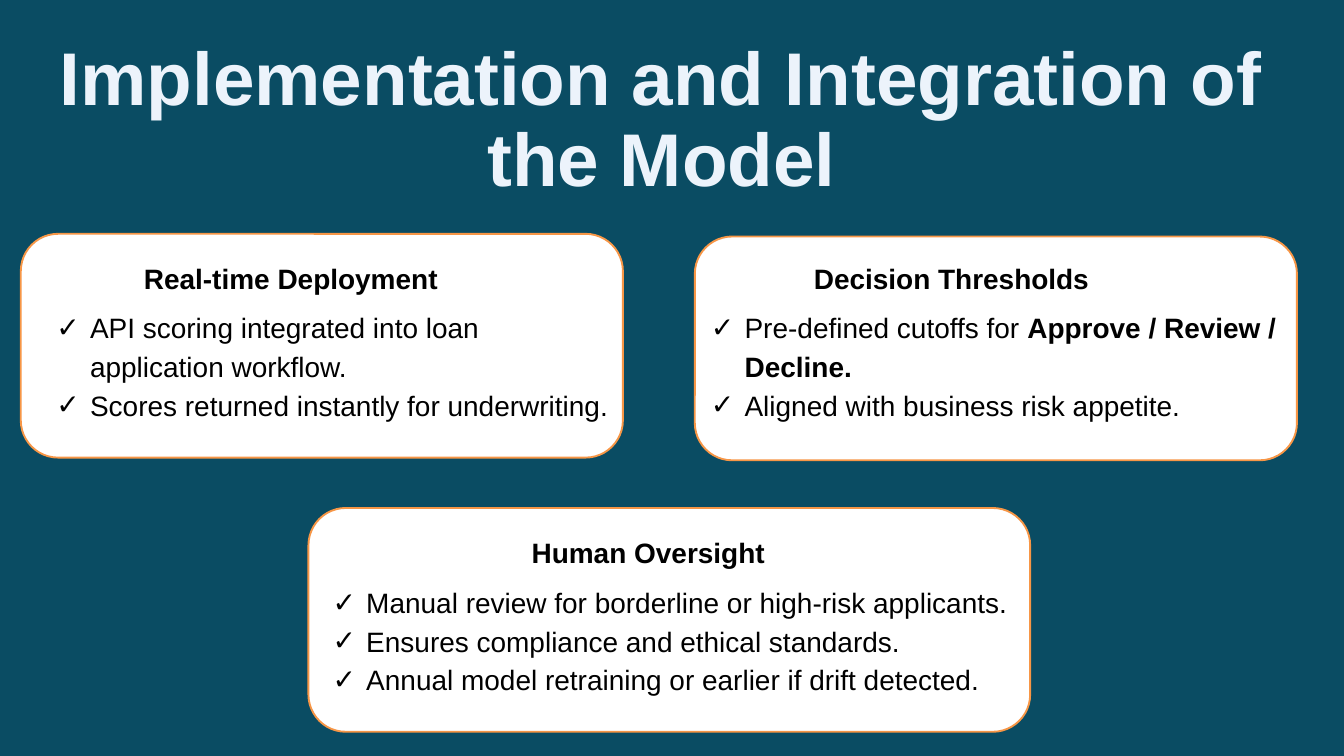
from lxml import etree
from pptx import Presentation, util as u
from pptx.dml.color import RGBColor
from pptx.enum import shapes, text
from pptx.oxml.ns import qn

TITLE = "Implementation and Integration of the Model"
# card and body: left, top, width, height in inches; each bullet is a list of (words, bold) runs
SECTIONS = [
    {"heading": "Real-time Deployment", "heading_indent": 1.34,
     "card": (0.31, 3.48, 8.96, 3.33), "body": (0.7, 3.71, 8.57, 2.86),
     "bullets": [[("API scoring integrated into loan application workflow.", False)],
                 [("Scores returned instantly for underwriting.", False)]]},
    {"heading": "Decision Thresholds", "heading_indent": 1.57,
     "card": (10.34, 3.52, 8.96, 3.33), "body": (10.44, 3.71, 9.25, 2.86),
     "bullets": [[("Pre-defined cutoffs for ", False), ("Approve / Review / Decline.", True)],
                 [("Aligned with business risk appetite.", False)]]},
    {"heading": "Human Oversight", "heading_indent": 3.0,
     "card": (4.59, 7.56, 10.74, 3.33), "body": (4.81, 7.8, 10.29, 2.86),
     "bullets": [[("Manual review for borderline or high-risk applicants.", False)],
                 [("Ensures compliance and ethical standards.", False)],
                 [("Annual model retraining or earlier if drift detected.", False)]]},
]
BACKGROUND, PALE, WHITE, ORANGE, BLACK = "0A4C63", "ECF3FB", "FFFFFF", "F79646", "000000"
COMPARISON_LAYOUT = 4


def paint(fill, colour):
    fill.solid()
    fill.fore_color.rgb = RGBColor.from_string(colour)


def place(shape, box):
    shape.left, shape.top, shape.width, shape.height = map(u.Inches, box)


def prepare_frame(frame, inset):
    frame.word_wrap = True
    frame.auto_size = text.MSO_AUTO_SIZE.NONE
    frame.vertical_anchor = text.MSO_ANCHOR.TOP
    frame.margin_left = frame.margin_right = u.Inches(inset)
    frame.margin_top = frame.margin_bottom = u.Inches(inset)


def add_run(paragraph, words, size, colour, bold):
    run = paragraph.add_run()
    run.text = words
    run.font.name, run.font.size, run.font.bold = "Arial", u.Pt(size), bold
    paint(run.font.fill, colour)


def format_paragraph(paragraph, align, spacing, before=0, left=0, first=0, bullet=None):
    paragraph.alignment = align
    paragraph.line_spacing = spacing
    paragraph.space_before = u.Pt(before)
    properties = paragraph._p.get_or_add_pPr()
    properties.set("marL", str(u.Inches(left)))
    properties.set("indent", str(u.Inches(first)))
    if bullet:
        etree.SubElement(properties, qn("a:buChar")).set("char", bullet)
    else:
        etree.SubElement(properties, qn("a:buNone"))


def add_card(slide, box):
    """Draw a rounded card behind the placeholders."""
    card = slide.shapes.add_shape(shapes.MSO_SHAPE.ROUNDED_RECTANGLE, *map(u.Inches, box))
    card.shadow.inherit = False
    paint(card.fill, WHITE)
    paint(card.line.fill, ORANGE)
    card.line.width = u.Pt(2)
    slide.shapes._spTree.insert(2, card._element)


def fill_body(body, section):
    place(body, section["body"])
    frame = body.text_frame
    prepare_frame(frame, 0.1)
    heading = frame.paragraphs[0]
    format_paragraph(heading, text.PP_ALIGN.LEFT, 1.15, left=section["heading_indent"])
    add_run(heading, section["heading"], 30, BLACK, True)
    for number, runs in enumerate(section["bullets"]):
        item = frame.add_paragraph()
        format_paragraph(item, text.PP_ALIGN.LEFT, 1.15, before=0 if number else 12,
                         left=0.54, first=-0.5, bullet="✓")
        for words, bold in runs:
            add_run(item, words, 30, BLACK, bold)


def main():
    deck = Presentation()
    deck.slide_width, deck.slide_height = u.Inches(20), u.Inches(11.25)
    slide = deck.slides.add_slide(deck.slide_layouts[COMPARISON_LAYOUT])
    paint(slide.background.fill, BACKGROUND)

    title = slide.shapes.title
    place(title, (0, 0.61, 19.69, 2.42))
    prepare_frame(title.text_frame, 0)
    title_line = title.text_frame.paragraphs[0]
    format_paragraph(title_line, text.PP_ALIGN.CENTER, 0.9)
    add_run(title_line, TITLE, 80, PALE, True)

    bodies = list(slide.placeholders)[1:]
    for body, section in zip(bodies, SECTIONS):
        add_card(slide, section["card"])
        fill_body(body, section)
    for unused in bodies[len(SECTIONS):]:
        unused._element.getparent().remove(unused._element)

    deck.save("out.pptx")


if __name__ == "__main__":
    main()
